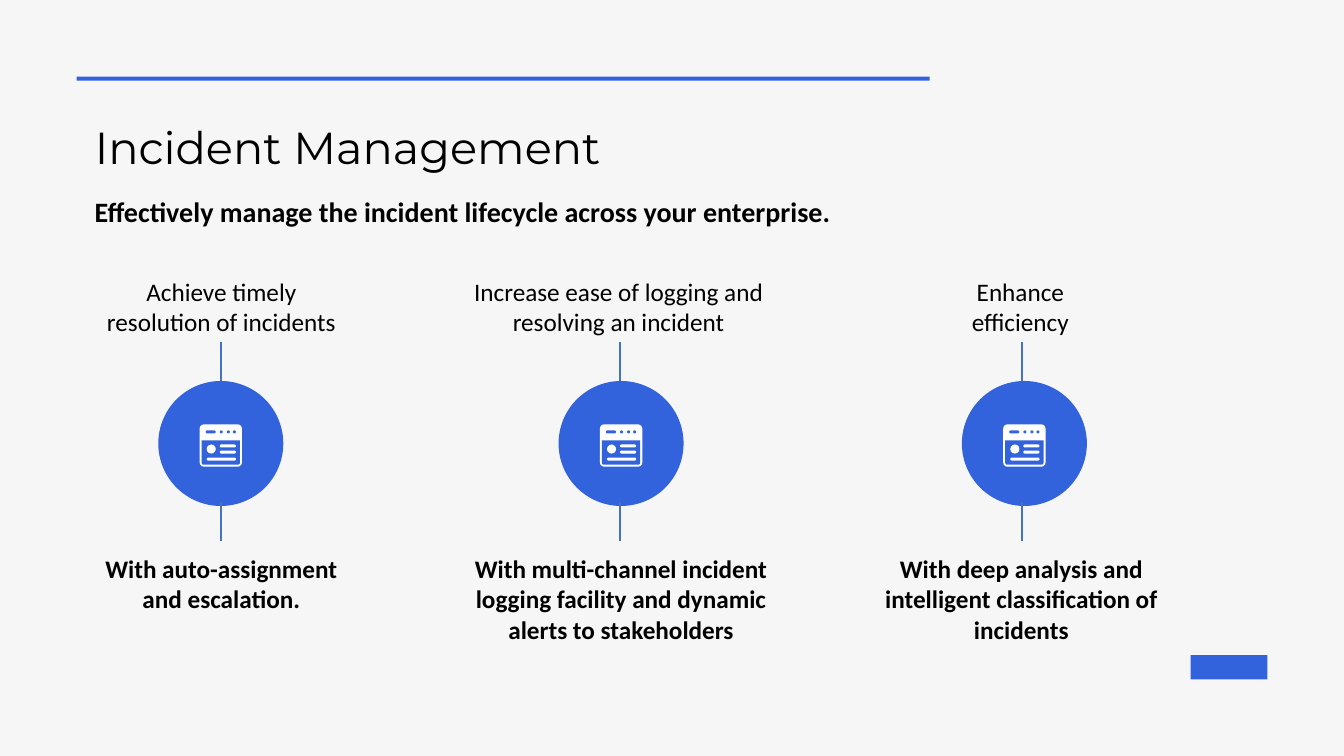
from pptx import Presentation
from pptx.dml.color import RGBColor
from pptx.enum.shapes import MSO_CONNECTOR as Connector, MSO_SHAPE as Shape
from pptx.enum.text import MSO_ANCHOR as Anchor, MSO_AUTO_SIZE as AutoSize, PP_ALIGN as Align
from pptx.oxml.ns import qn
from pptx.util import Inches, Pt

BLUE, LINE_BLUE, WHITE, BLACK, PALE = "3362DD", "4472C4", "FFFFFF", "000000", "F6F6F6"

# Axis, circle left, then (left, top, width, height) and wording above and below
COLUMNS = [
    (2.19, 1.57,
     (0.84, 2.69, 2.71, 0.71), "Achieve timely resolution of incidents",
     (0.84, 5.44, 2.71, 0.71), "With auto-assignment and escalation."),
    (6.15, 5.54,
     (4.49, 2.69, 3.29, 1.01), "Increase ease of logging and resolving an incident",
     (4.55, 5.44, 3.22, 1.01),
     "With multi-channel incident logging facility and dynamic alerts to stakeholders"),
    (10.14, 9.54,
     (9.11, 2.69, 2.02, 1.01), "Enhance efficiency",
     (8.45, 5.44, 3.36, 1.31),
     "With deep analysis and intelligent classification of incidents"),
]
CIRCLE_TOP, CIRCLE_SIZE, ICON_SIZE = 3.78, 1.24, 0.42


def color(hex_code):
    return RGBColor.from_string(hex_code)


def add_block(shapes, kind, box, fill, corners=()):
    block = shapes.add_shape(kind, *map(Inches, box))
    block.shadow.inherit = False
    block.fill.solid()
    block.fill.fore_color.rgb = color(fill)
    block.line.fill.background()
    for index, corner in enumerate(corners):
        block.adjustments[index] = corner


def write(frame, wording, size, font="Calibri", bold=False, align=Align.LEFT):
    frame.word_wrap = True
    frame.auto_size = AutoSize.SHAPE_TO_FIT_TEXT
    frame.vertical_anchor = Anchor.TOP
    frame.text = wording
    paragraph = frame.paragraphs[0]
    paragraph.alignment = align
    paragraph.font.name = font
    paragraph.font.size = Pt(size)
    paragraph.font.bold = bold
    paragraph.font.color.rgb = color(BLACK)


def add_text(slide, box, wording, size, **style):
    textbox = slide.shapes.add_textbox(*map(Inches, box))
    write(textbox.text_frame, wording, size, **style)


def add_stem(slide, axis, top, bottom):
    stem = slide.shapes.add_connector(
        Connector.STRAIGHT, *map(Inches, (axis, top, axis, bottom)))
    stem.line.color.rgb = color(LINE_BLUE)
    stem.line.width = Pt(1.5)
    properties = stem._element.spPr
    properties.append(properties.makeelement(qn("a:effectLst"), {}))


def add_form_icon(slide, left, top):
    icon = slide.shapes.add_group_shape().shapes

    def part(kind, x, y, width, height, fill, corners=()):
        add_block(icon, kind, (left + x, top + y, width, height), fill, corners)

    # Window with its title bar
    part(Shape.ROUNDED_RECTANGLE, 0, 0, ICON_SIZE, ICON_SIZE, WHITE, [0.1])
    part(Shape.ROUNDED_RECTANGLE, 0.06, 0.06, 0.1, 0.03, BLUE, [0.5])
    for x in (0.2, 0.27, 0.33):
        part(Shape.OVAL, x, 0.06, 0.03, 0.03, BLUE)
    # Profile and text lines
    part(Shape.ROUND_2_SAME_RECTANGLE, 0.02, 0.16, 0.38, 0.24, BLUE, [0, 0.08])
    part(Shape.OVAL, 0.07, 0.2, 0.09, 0.09, WHITE)
    for x, y, width in ((0.2, 0.2, 0.16), (0.2, 0.26, 0.16), (0.07, 0.33, 0.29)):
        part(Shape.ROUNDED_RECTANGLE, x, y, width, 0.03, WHITE, [0.5])


def add_column(slide, axis, circle_left, goal_box, goal, means_box, means):
    add_text(slide, goal_box, goal, 18, align=Align.CENTER)
    add_block(slide.shapes, Shape.OVAL,
              (circle_left, CIRCLE_TOP, CIRCLE_SIZE, CIRCLE_SIZE), BLUE)
    inset = (CIRCLE_SIZE - ICON_SIZE) / 2
    add_form_icon(slide, circle_left + inset, CIRCLE_TOP + inset + 0.02)
    add_stem(slide, axis, 3.39, CIRCLE_TOP)
    add_stem(slide, axis, 4.98, 5.37)
    add_text(slide, means_box, means, 18, bold=True, align=Align.CENTER)


def add_heading(slide, left, top, width):
    title = slide.shapes.title
    title.left, title.top = Inches(left), Inches(top)
    title.width, title.height = Inches(6.54), Inches(0.64)
    write(title.text_frame, "Incident Management", 32, font="Montserrat")
    add_text(slide, (left, top + 0.74, width, 0.44),
             "Effectively manage the incident lifecycle across your enterprise.",
             20, bold=True)


def add_accents(slide):
    add_block(slide.shapes, Shape.RECTANGLE, (0.76, 0.76, 8.46, 0.04), BLUE)
    add_block(slide.shapes, Shape.RECTANGLE, (11.81, 6.5, 0.76, 0.24), BLUE)


def main():
    deck = Presentation()
    deck.slide_width, deck.slide_height = Inches(13.33), Inches(7.5)
    slide = deck.slides.add_slide(deck.slide_layouts[5])
    slide.background.fill.solid()
    slide.background.fill.fore_color.rgb = color(PALE)
    add_accents(slide)
    add_heading(slide, 0.84, 1.14, 8.39)
    for column in COLUMNS:
        add_column(slide, *column)
    deck.save("out.pptx")


if __name__ == "__main__":
    main()
